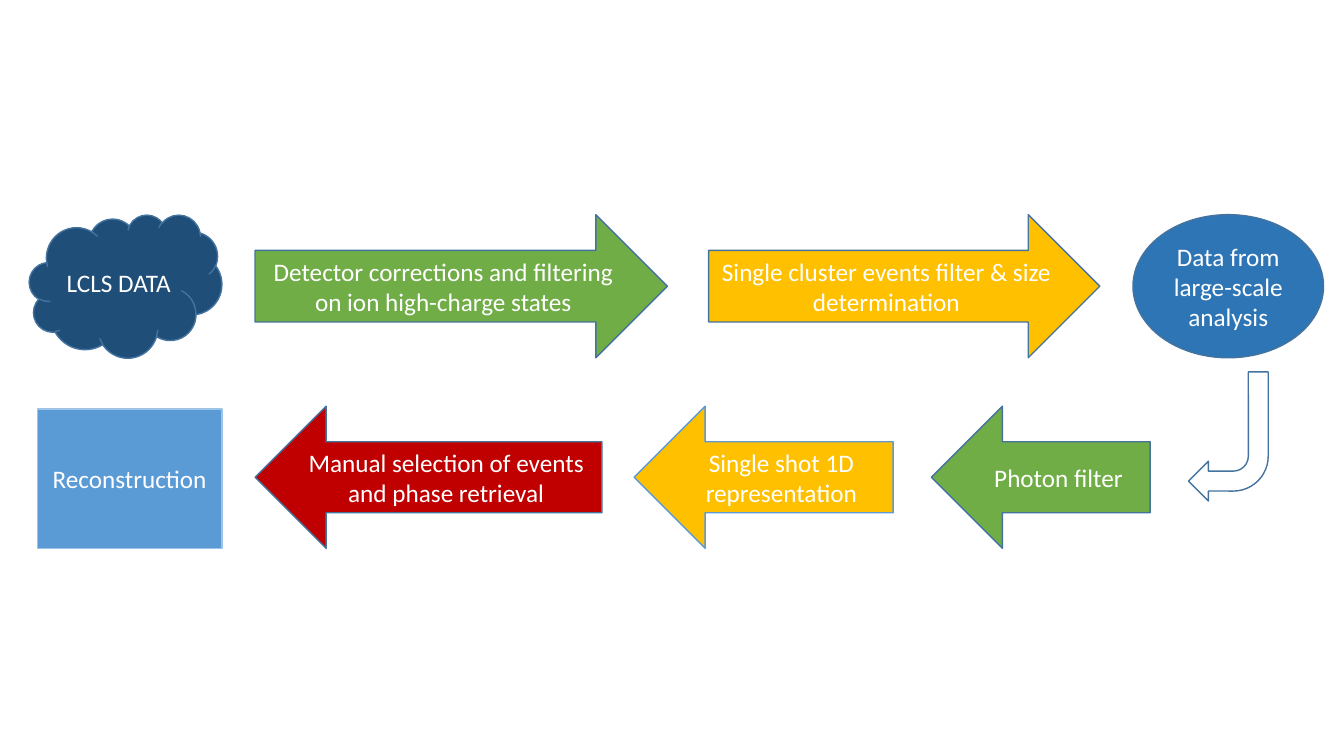
import pptx
import pptx.dml.color
import pptx.enum.shapes
import pptx.enum.text
import pptx.util

SHAPES = pptx.enum.shapes.MSO_SHAPE
COLORS = {
    "navy": "1F4E79", "blue": "2E75B6", "sky": "5B9BD5", "pale": "9DC3E6",
    "green": "70AD47", "gold": "FFC000", "red": "C00000",
    "white": "FFFFFF", "outline": "43739E",
}

# Boxes are left, top, width, height in percent of the slide.
TOP_ROW = (0, 28.4, 100, 18.93)
BOTTOM_ROW = (0, 53.73, 100, 18.8)
TURN = (88.43, 49.2, 5.93, 17.07)

# Stages: shape, left and width in percent of the row, text, fill, line, top inset.
COLLECTION = [
    (SHAPES.CLOUD, 2.18, 14.33, "LCLS DATA", "navy", "outline", 0),
    (SHAPES.RIGHT_ARROW, 18.98, 30.68,
     "Detector corrections and filtering on ion high-charge states",
     "green", "outline", 0),
    (SHAPES.RIGHT_ARROW, 52.73, 29.1,
     "Single cluster events filter & size determination", "gold", "outline", 0),
    (SHAPES.OVAL, 84.3, 14.18, "Data from large-scale analysis",
     "blue", "outline", 0),
]
ANALYSIS = [
    (SHAPES.LEFT_ARROW, 69.3, 16.28, "Photon filter", "green", "outline", 0),
    (SHAPES.LEFT_ARROW, 47.18, 19.28, "Single shot 1D representation",
     "gold", "sky", 0),
    (SHAPES.LEFT_ARROW, 18.98, 25.8,
     "Manual selection of events and phase retrieval", "red", "outline", 0),
    (SHAPES.RECTANGLE, 2.78, 13.73, "Reconstruction", "sky", "pale", 2),
]

presentation = pptx.Presentation()
presentation.slide_width = pptx.util.Inches(13.33)
presentation.slide_height = pptx.util.Inches(7.5)


def color(name):
    return pptx.dml.color.RGBColor.from_string(COLORS[name])


def add_block(slide, kind, box, fill, line):
    left, top, width, height = box
    across = presentation.slide_width / 100
    down = presentation.slide_height / 100
    shape = slide.shapes.add_shape(
        kind, round(left * across), round(top * down),
        round(width * across), round(height * down))
    shape.shadow.inherit = False
    shape.fill.solid()
    shape.fill.fore_color.rgb = color(fill)
    shape.line.color.rgb = color(line)
    shape.line.width = pptx.util.Pt(1)
    return shape


def add_label(shape, text):
    frame = shape.text_frame
    frame.word_wrap = True
    frame.vertical_anchor = pptx.enum.text.MSO_ANCHOR.MIDDLE
    paragraph = frame.paragraphs[0]
    paragraph.alignment = pptx.enum.text.PP_ALIGN.CENTER
    run = paragraph.add_run()
    run.text = text
    run.font.name = "Calibri"
    run.font.size = pptx.util.Pt(18)
    run.font.color.rgb = color("white")


def add_row(slide, box, stages):
    row_left, row_top, row_width, row_height = box
    for kind, left, width, text, fill, line, inset in stages:
        stage_box = (row_left + row_width * left / 100,
                     row_top + row_height * inset / 100,
                     row_width * width / 100,
                     row_height * (100 - inset) / 100)
        add_label(add_block(slide, kind, stage_box, fill, line), text)


def add_turn(slide, box):
    arrow = add_block(slide, SHAPES.BENT_ARROW, box, "white", "outline")
    arrow.rotation = 180


slide = presentation.slides.add_slide(presentation.slide_layouts[6])

# Data collection, left to right
add_row(slide, TOP_ROW, COLLECTION)
# Turn into the second row
add_turn(slide, TURN)
# Analysis, right to left
add_row(slide, BOTTOM_ROW, ANALYSIS)

presentation.save("out.pptx")
